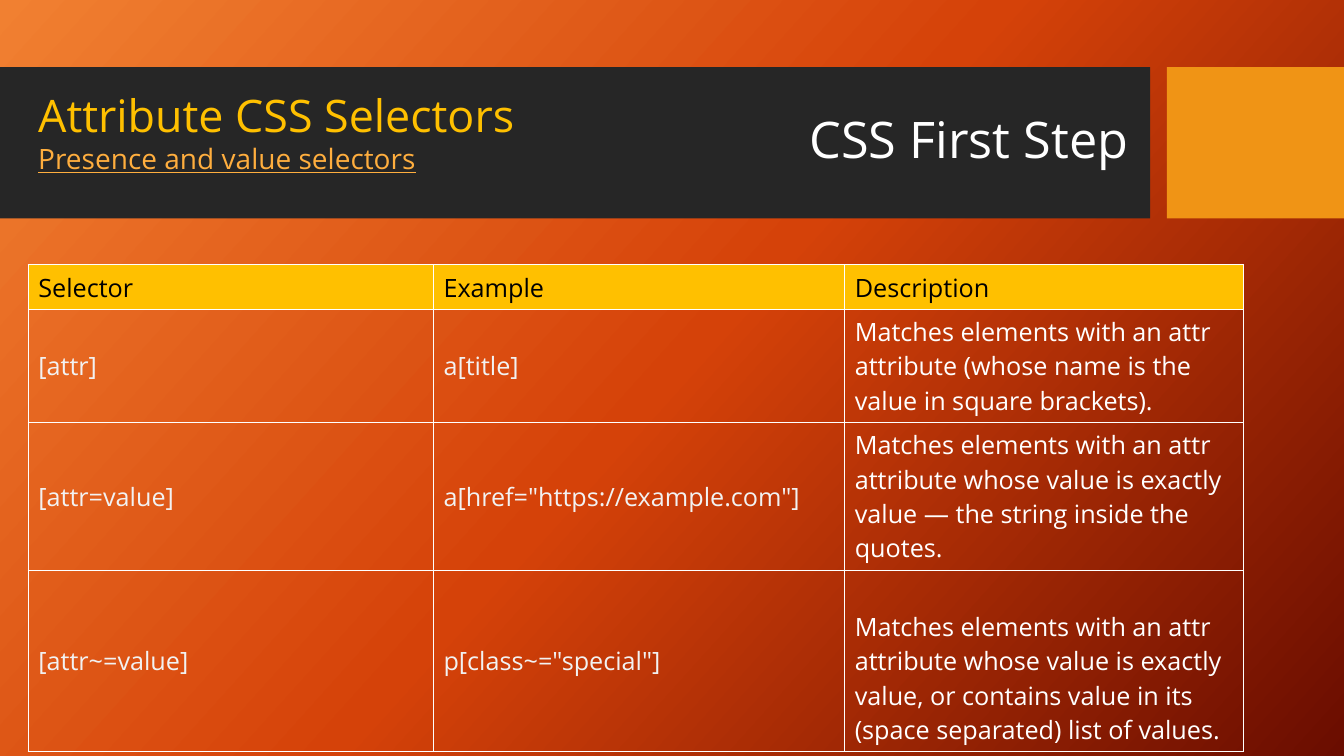
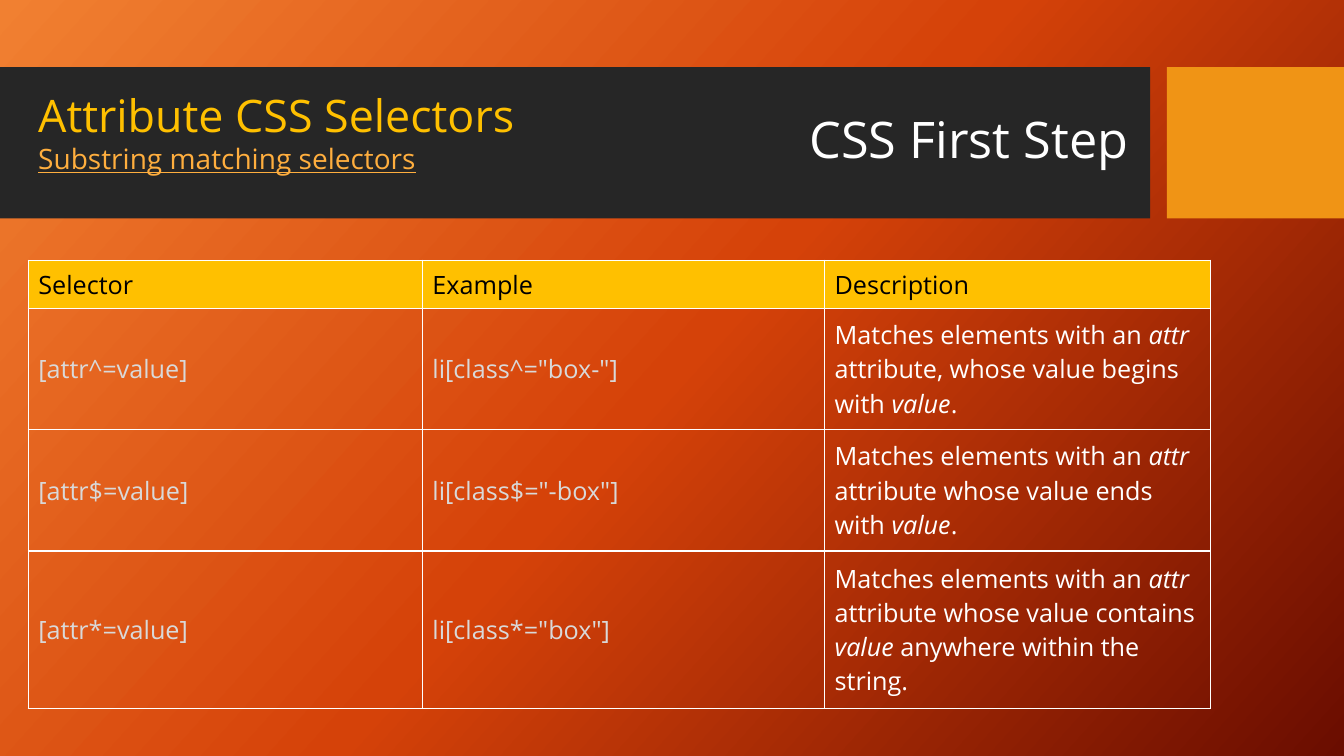
from dataclasses import dataclass
from lxml.etree import SubElement
from pptx import Presentation
from pptx.dml.color import RGBColor
from pptx.enum.shapes import MSO_SHAPE
from pptx.enum.text import MSO_ANCHOR, MSO_AUTO_SIZE, PP_ALIGN
from pptx.oxml.ns import qn
from pptx.util import Pt

HEX = {
    "glow": "F18031", "flame": "D54209", "ember": "6A0D00",
    "band": "262626", "block": "F09415", "gold": "FFC000", "amber": "FFAE3E",
    "white": "FFFFFF", "black": "000000", "pale": "F2F2F2", "grey": "D9D9D9",
}
FONT = "Open Sans"
LEFT = 20.2
HEAD = ("Selector", "Example", "Description")


@dataclass
class Box:
    """A place on the slide, in points."""
    left: float
    top: float
    width: float
    height: float

    def frame(self) -> tuple:
        """Give the four lengths as Pt."""
        return tuple(map(Pt, (self.left, self.top, self.width, self.height)))


@dataclass
class Band:
    """A plain bar behind the title."""
    box: Box
    tint: str


@dataclass
class Page:
    """The parts that differ from slide to slide; _word_ marks italics."""
    topic: str
    top: float
    cols: tuple
    rows: tuple
    tint: str
    body: tuple
    drop: float = 0  # extra space above the last description


BANDS = (
    Band(Box(0, 48, 821.5, 108), "band"),
    Band(Box(833.5, 48, 126.5, 108), "block"),
)
TITLE = Box(571, 59, 244.8, 85)
TOPIC = Box(LEFT, 59, 504.7, 92.2)

PAGES = (
    Page("Presence and value selectors", 189.2,
         (289.4, 293.8, 285.1), (32, 80.8, 105.3, 129.8), "pale", (
             ("[attr]", "a[title]",
              "Matches elements with an attr attribute (whose name is the "
              "value in square brackets)."),
             ("[attr=value]", 'a[href="https://example.com"]',
              "Matches elements with an attr attribute whose value is exactly "
              "value — the string inside the quotes."),
             ("[attr~=value]", 'p[class~="special"]',
              "Matches elements with an attr attribute whose value is exactly "
              "value, or contains value in its (space separated) list of "
              "values."),
         ), 24.5),
    Page("Substring matching selectors", 185.8,
         (281.5, 287.3, 275.6), (34.6, 86.6, 86.6, 112.4), "grey", (
             ("[attr^=value]", 'li[class^="box-"]',
              "Matches elements with an _attr_ attribute, whose value begins "
              "with _value_."),
             ("[attr$=value]", 'li[class$="-box"]',
              "Matches elements with an _attr_ attribute whose value ends "
              "with _value_."),
             ("[attr*=value]", 'li[class*="box"]',
              "Matches elements with an _attr_ attribute whose value contains "
              "_value_ anywhere within the string."),
         )),
)


def style(thing, **vals) -> None:
    """Set each named value on the thing."""
    for name, val in vals.items():
        setattr(thing, name, val)


def paint(fill, tint: str) -> None:
    """Fill with one flat colour."""
    fill.solid()
    fill.fore_color.rgb = RGBColor.from_string(HEX[tint])


def write(para, text: str, size: float, tint: str, **more) -> None:
    """Add text to a paragraph, with _marked_ parts in italics."""
    for i, part in enumerate(text.split("_")):
        run = para.add_run()
        run.text = part
        style(run.font, name=FONT, size=Pt(size), bold=False,
              italic=i % 2 == 1, **more)
        run.font.color.rgb = RGBColor.from_string(HEX[tint])


def shade(master) -> None:
    """Give the master its three-stop gradient."""
    fill = master.background.fill
    fill.gradient()
    fill.gradient_angle = 360 - 42
    stops = master.element.find(".//" + qn("p:bg")).find(".//" + qn("a:gsLst"))
    stops.clear()
    for i, tint in enumerate(("glow", "flame", "ember")):
        stop = SubElement(stops, qn("a:gs"), pos=str(i * 50000))
        SubElement(stop, qn("a:srgbClr"), val=HEX[tint])


def add_bands(slide, layout) -> None:
    """Draw the bands and move them to the layout, behind its text."""
    tree = layout.shapes.element if hasattr(layout.shapes, "element") \
        else layout.element.cSld.spTree
    for i, band in enumerate(BANDS):
        bar = slide.shapes.add_shape(MSO_SHAPE.RECTANGLE, *band.box.frame())
        bar.shadow.inherit = False
        bar.line.fill.background()
        paint(bar.fill, band.tint)
        bar.element.nvSpPr.cNvPr.id = 50 + i
        tree.insert(2 + i, bar.element)


def add_title(slide) -> None:
    """Place and format the title."""
    title = slide.shapes.title
    names = ("left", "top", "width", "height")
    style(title, **dict(zip(names, TITLE.frame())))
    style(title.text_frame, vertical_anchor=MSO_ANCHOR.MIDDLE, word_wrap=True,
          auto_size=MSO_AUTO_SIZE.NONE)
    para = title.text_frame.paragraphs[0]
    style(para, alignment=PP_ALIGN.LEFT, line_spacing=0.9)
    write(para, "CSS First Step", 36, "white")


def add_topic(slide, topic: str) -> None:
    """Write the heading and the topic under it."""
    text = slide.shapes.add_textbox(*TOPIC.frame()).text_frame
    style(text, word_wrap=True, auto_size=MSO_AUTO_SIZE.SHAPE_TO_FIT_TEXT)
    write(text.paragraphs[0], "Attribute CSS Selectors", 32, "gold")
    write(text.add_paragraph(), topic, 20, "amber", underline=True)


def edge(cell) -> None:
    """Draw a thin white line on each side of the cell."""
    props = cell._tc.get_or_add_tcPr()
    for i, side in enumerate(("lnL", "lnR", "lnT", "lnB")):
        line = props.makeelement(qn("a:" + side), {"w": str(Pt(1))})
        props.insert(i, line)
        fill = SubElement(line, qn("a:solidFill"))
        SubElement(fill, qn("a:srgbClr"), val=HEX["white"])


def add_grid(slide, page: Page) -> None:
    """Add the table of selectors."""
    box = Box(LEFT, page.top, sum(page.cols), sum(page.rows))
    lines = (HEAD, *page.body)
    grid = slide.shapes.add_table(len(lines), len(HEAD), *box.frame()).table
    style(grid, first_row=False, horz_banding=False)
    for col, width in zip(grid.columns, page.cols):
        col.width = Pt(width)
    for row, height in zip(grid.rows, page.rows):
        row.height = Pt(height)
    for r, line in enumerate(lines):
        for c, text in enumerate(line):
            cell = grid.cell(r, c)
            cell.vertical_anchor = MSO_ANCHOR.MIDDLE
            tint = "white" if c == 2 else page.tint
            if r == 0:
                tint = "black"
                paint(cell.fill, "gold")
            else:
                cell.fill.background()
            edge(cell)
            write(cell.text_frame.paragraphs[0], text, 18, tint)
    grid.cell(len(lines) - 1, 2).margin_top = Pt(3.6 + page.drop)


def main() -> None:
    """Build and save the deck."""
    deck = Presentation()
    style(deck, slide_width=Pt(960), slide_height=Pt(540))
    shade(deck.slide_master)
    layout = deck.slide_layouts[5]
    for i, page in enumerate(PAGES):
        slide = deck.slides.add_slide(layout)
        if i == 0:
            add_bands(slide, layout)
        add_title(slide)
        add_topic(slide, page.topic)
        add_grid(slide, page)
    deck.save("out.pptx")


main()
